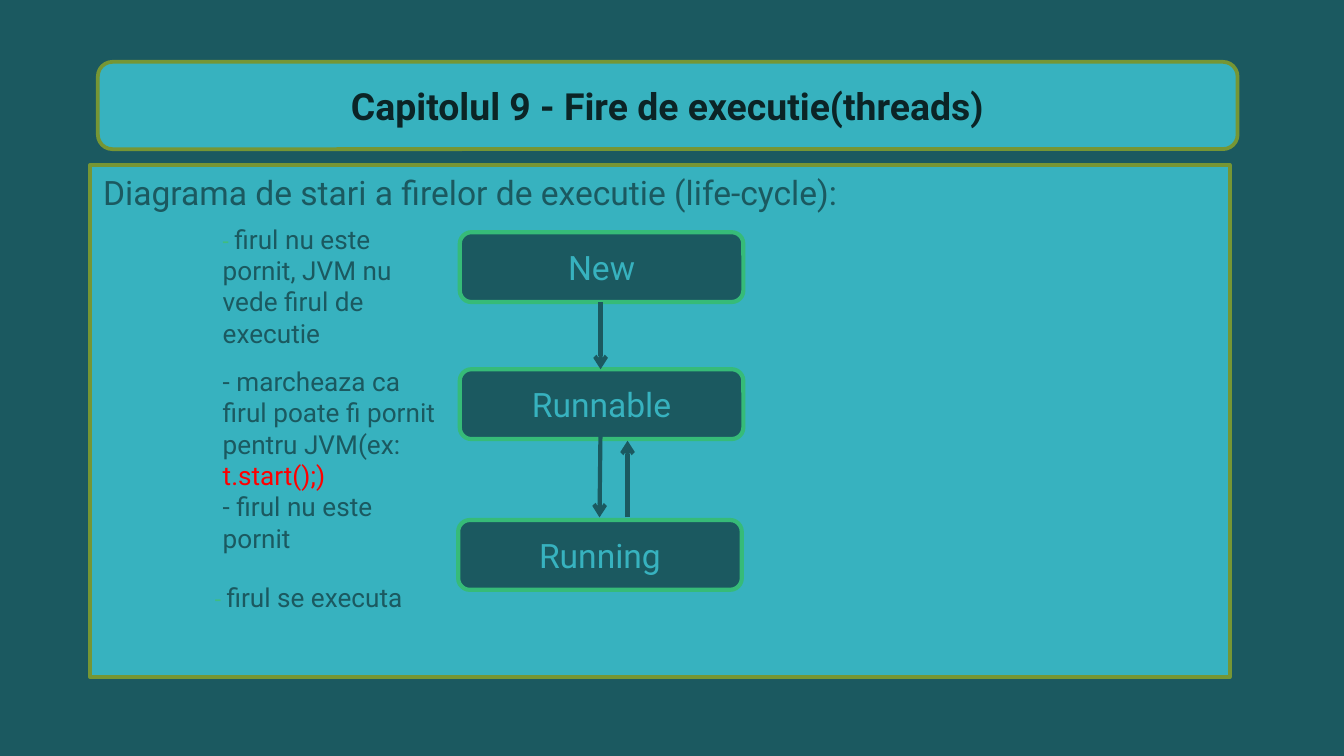
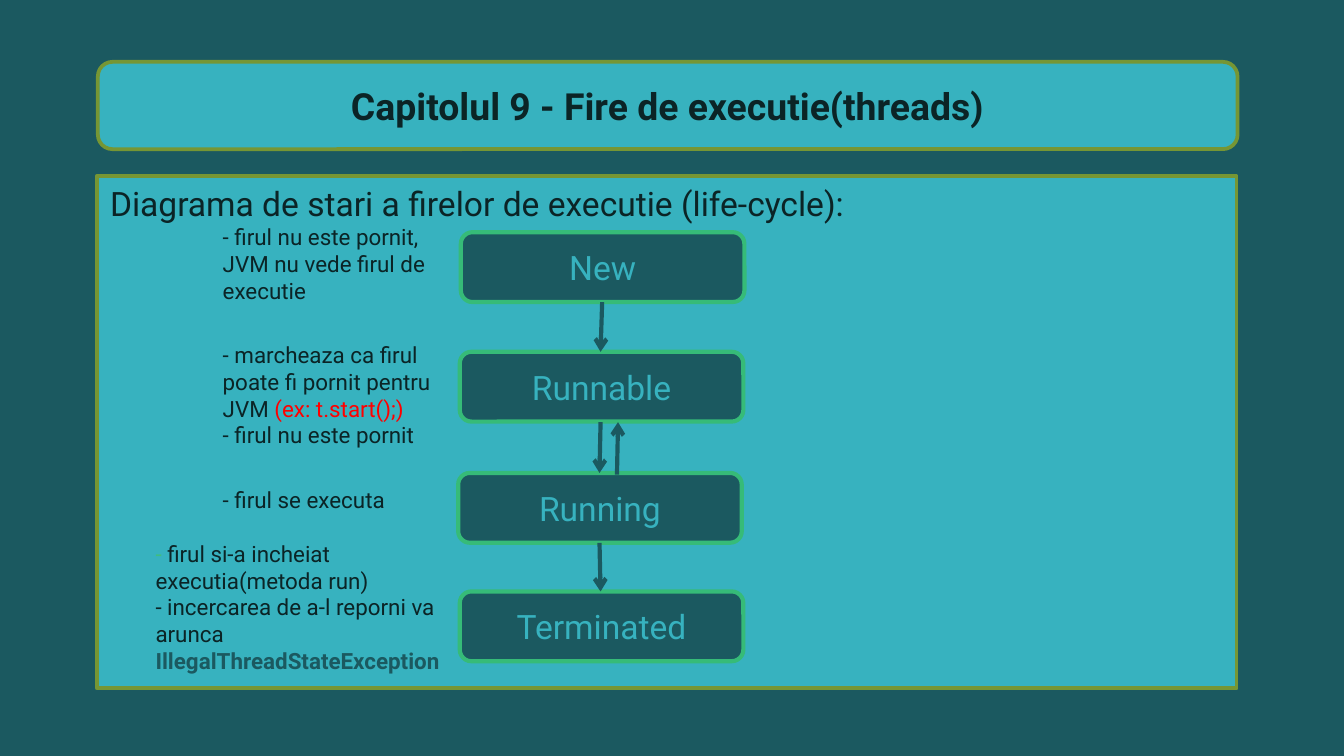
"""Build two slides on the life cycle of Java threads."""
from lxml import etree
from pptx import Presentation
from pptx import util as u
from pptx.dml import color
from pptx.enum import shapes, text
from pptx.oxml import ns

HUES = {
    "deep": "1B5960", "aqua": "37B2BF", "olive": "769634", "ink": "0B2426",
    "green": "36BB78", "mint": "40BD7E", "red": "FF0000",
}
FONT = "Roboto"
TITLE = "Capitolul 9 - Fire de executie(threads)"
HEAD = "Diagrama de stari a firelor de executie (life-cycle):"
BOX_W, BOX_H = 5.36, 1.32
MID = text.PP_ALIGN.CENTER


def rgb(hue):
    return color.RGBColor.from_string(HUES[hue])


def assign(item, form):
    for key, val in form.items():
        setattr(item, key, val)


def write(frame, paras, form=None):
    """Fill a frame with paragraphs of (text, size, hue, bold) runs."""
    for num, runs in enumerate(paras):
        para = frame.paragraphs[0] if num == 0 else frame.add_paragraph()
        assign(para, form or {})
        for words, size, hue, *bold in runs:
            run = para.add_run()
            run.text = words
            assign(run.font, {"name": FONT, "size": u.Pt(size), "bold": bool(bold)})
            run.font.color.rgb = rgb(hue)


def block(slide, kind, area, fill, edge, width, run, anchor, form):
    """Add a filled and outlined shape with one line of text."""
    shape = slide.shapes.add_shape(kind, *map(u.Cm, area))
    shape.shadow.inherit = False
    shape.fill.solid()
    shape.fill.fore_color.rgb = rgb(fill)
    shape.line.color.rgb = rgb(edge)
    shape.line.width = u.Pt(width)
    assign(shape.text_frame, {"word_wrap": True, "vertical_anchor": anchor})
    write(shape.text_frame, [[run]], form)
    return shape


def flatten(shape):
    """Set the fold of a folded corner to zero."""
    guides = shape._element.spPr.find(ns.qn("a:prstGeom")).get_or_add_avLst()
    for guide in list(guides):
        guides.remove(guide)
    etree.SubElement(guides, ns.qn("a:gd"), name="adj", fmla="val 0")


def frame(deck, left, top, hue):
    """Add a slide with its background, title bar and panel."""
    slide = deck.slides.add_slide(deck.slide_layouts[6])
    slide.background.fill.solid()
    slide.background.fill.fore_color.rgb = rgb("deep")
    kind = shapes.MSO_SHAPE
    block(slide, kind.ROUNDED_RECTANGLE, (1.85, 1.17, 21.54, 1.65), "aqua",
          "olive", 2, (TITLE, 20, "ink", True), text.MSO_ANCHOR.MIDDLE,
          {"alignment": MID})
    panel = block(slide, kind.FOLDED_CORNER, (left, top, 21.54, 9.68), "aqua",
                  "olive", 2, (HEAD, 18, hue), text.MSO_ANCHOR.TOP,
                  {"alignment": text.PP_ALIGN.LEFT, "space_after": u.Pt(5.2)})
    flatten(panel)
    return slide


def state(slide, name, left, top):
    block(slide, shapes.MSO_SHAPE.ROUNDED_RECTANGLE, (left, top, BOX_W, BOX_H),
          "deep", "green", 2.25, (name, 18, "aqua"), text.MSO_ANCHOR.MIDDLE,
          {"alignment": MID})


def arrow(slide, *ends):
    """Add a straight arrow from one point to another."""
    link = slide.shapes.add_connector(shapes.MSO_CONNECTOR.STRAIGHT, *map(u.Cm, ends))
    link.line.color.rgb = rgb("deep")
    link.line.width = u.Pt(2.25)
    props = link._element.spPr
    etree.SubElement(props.find(ns.qn("a:ln")), ns.qn("a:tailEnd"), type="arrow")
    etree.SubElement(props, ns.qn("a:effectLst"))


def note(slide, area, *paras):
    box = slide.shapes.add_textbox(*map(u.Cm, area))
    box.text_frame.word_wrap = True
    write(box.text_frame, paras)


def chart(slide, states, links):
    for item in states:
        state(slide, *item)
    for ends in links:
        arrow(slide, *ends)


def first(deck):
    """Build the diagram with three states."""
    slide = frame(deck, 1.7, 3.12, "deep")
    chart(slide,
          [("New", 8.69, 4.39), ("Runnable", 8.69, 6.98), ("Running", 8.66, 9.83)],
          [(11.35, 8.03, 11.33, 9.78), (11.35, 5.71, 11.35, 6.98),
           (11.86, 9.78, 11.86, 8.33)])
    note(slide, (3.96, 4.09, 4.67, 2.67),
         [("- ", 12, "mint"),
          ("firul nu este pornit, JVM nu vede firul de executie", 14, "deep")])
    note(slide, (3.96, 6.78, 4.67, 3.86),
         [("- marcheaza ca firul poate fi pornit pentru JVM(ex: ", 14, "deep"),
          ("t.start();)", 14, "red")],
         [("- firul nu este pornit", 14, "deep")])
    note(slide, (3.81, 10.87, 4.67, 0.86),
         [("- ", 12, "mint"), ("firul se executa", 14, "deep")])


def second(deck):
    """Build the diagram with four states."""
    slide = frame(deck, 1.83, 3.33, "ink")
    chart(slide,
          [("New", 8.71, 4.39), ("Runnable", 8.69, 6.65),
           ("Running", 8.66, 8.94), ("Terminated", 8.69, 11.18)],
          [(11.35, 7.98, 11.33, 8.94), (11.38, 5.71, 11.35, 6.65),
           (11.66, 8.97, 11.68, 7.98), (11.33, 10.26, 11.35, 11.18)])
    note(slide, (3.96, 4.09, 4.67, 1.8),
         [("- firul nu este pornit, JVM nu vede firul de executie", 12, "ink")])
    note(slide, (3.96, 6.32, 4.67, 2.39),
         [("- marcheaza ca firul poate fi pornit pentru JVM ", 12, "ink"),
          ("(ex: t.start();)", 12, "red")],
         [("- firul nu este pornit", 12, "ink")])
    note(slide, (3.96, 9.07, 4.67, 0.79), [("- firul se executa", 12, "ink")])
    note(slide, (2.69, 10.08, 7.01, 2.82),
         [("- ", 12, "mint"), ("firul si-a incheiat executia(metoda run)", 12, "ink")],
         [("- incercarea de a-l reporni va arunca ", 12, "ink"),
          ("IllegalThreadStateException", 12, "deep", True)])


def main():
    deck = Presentation()
    assign(deck, {"slide_width": u.Cm(25.4), "slide_height": u.Cm(14.29)})
    first(deck)
    second(deck)
    deck.save("out.pptx")


main()
